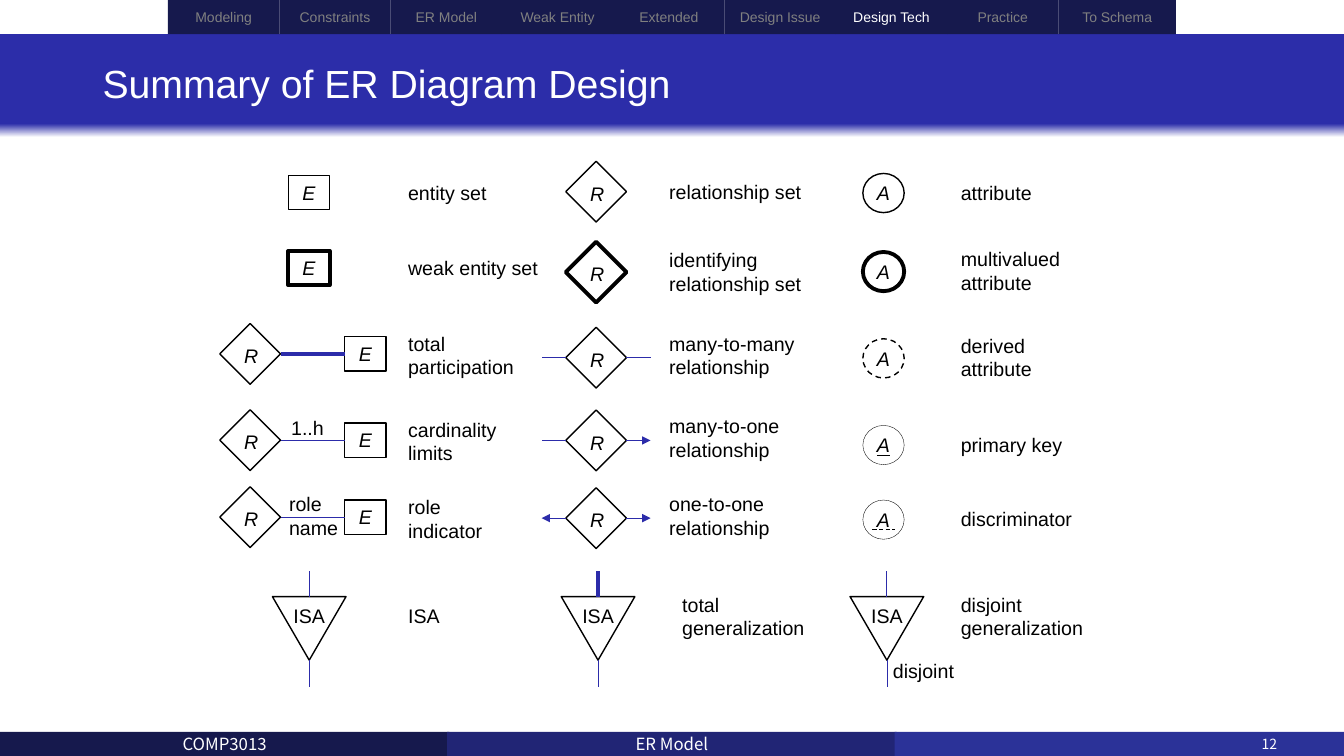
import dataclasses

import pptx
import pptx.dml.color
import pptx.enum.dml
import pptx.enum.shapes
import pptx.enum.text
import pptx.oxml
import pptx.oxml.ns
import pptx.util

Pt = pptx.util.Pt
SHAPE = pptx.enum.shapes.MSO_SHAPE
ALIGN = pptx.enum.text.PP_ALIGN
UNDERLINE = pptx.enum.text.MSO_UNDERLINE
LEFT, RIGHT = 1, 3


@dataclasses.dataclass(frozen=True)
class Theme:
    font: str = "Arial"
    footer_font: str = "Noto Sans CJK SC"
    number_font: str = "Noto Sans CJK JP"
    white: str = "FFFFFF"
    black: str = "000000"
    muted: str = "808080"
    navy: str = "16194D"
    indigo: str = "212575"
    royal: str = "2B3298"
    banner: str = "2C2DA9"
    link: str = "2C2CAA"
    title_size: float = 28
    body_size: float = 14
    footer_size: float = 12
    small_size: float = 10
    hairline: float = 0.25
    thin: float = 0.5
    normal: float = 1
    thick: float = 2.75


def rgb(value):
    return pptx.dml.color.RGBColor.from_string(value)


class ErPage:
    def __init__(self, page, theme):
        self.page = page
        self.theme = theme

    def put_text(self, shape, text, size=None, color=None, font=None, align=ALIGN.CENTER,
                 inset=0, italic=False, underline=None, spacing=None):
        """Fill a shape with text, one paragraph a line, centred vertically."""
        frame = shape.text_frame
        frame.word_wrap = True
        frame.vertical_anchor = pptx.enum.text.MSO_ANCHOR.MIDDLE
        frame.margin_left = frame.margin_right = Pt(inset)
        frame.margin_top = frame.margin_bottom = 0
        for index, line in enumerate(text.split("\n")):
            para = frame.add_paragraph() if index else frame.paragraphs[0]
            para.alignment = align
            if spacing:
                para.line_spacing = spacing
            span = para.add_run()
            span.text = line
            span.font.name = font or self.theme.font
            span.font.size = Pt(size or self.theme.body_size)
            span.font.color.rgb = rgb(color or self.theme.black)
            span.font.italic = italic
            span.font.underline = underline

    def text(self, left, top, width, height, text, **style):
        box = self.page.shapes.add_textbox(Pt(left), Pt(top), Pt(width), Pt(height))
        self.put_text(box, text, **style)

    def label(self, left, middle, text, width=118):
        height = 17 * (text.count("\n") + 1) + 7
        self.text(left, middle - height / 2, width, height, text,
                  align=ALIGN.LEFT, inset=7.2)

    def band(self, left, top, width, height, color):
        box = self.page.shapes.add_shape(
            SHAPE.RECTANGLE, Pt(left), Pt(top), Pt(width), Pt(height))
        box.shadow.inherit = False
        box.line.fill.background()
        box.fill.solid()
        box.fill.fore_color.rgb = rgb(color)
        return box

    def banner(self, top, width, height):
        """Title band that fades to white at its lower edge."""
        box = self.band(0, top, width, height, self.theme.banner)
        box.fill.gradient()
        box.fill.gradient_angle = 90
        stops = ((0, self.theme.white), (0.13, self.theme.banner))
        for stop, (position, color) in zip(box.fill.gradient_stops, stops):
            stop.position = position
            stop.color.rgb = rgb(color)

    def outline(self, kind, center, middle, width, height, weight):
        shape = self.page.shapes.add_shape(
            kind, Pt(center - width / 2), Pt(middle - height / 2), Pt(width), Pt(height))
        shape.shadow.inherit = False
        shape.fill.background()
        shape.line.color.rgb = rgb(self.theme.black)
        shape.line.width = Pt(weight or self.theme.normal)
        return shape

    def entity(self, center, middle, weight=None):
        box = self.outline(SHAPE.RECTANGLE, center, middle, 29.5, 24.5, weight)
        self.put_text(box, "E", italic=True)
        return box

    def relationship(self, center, middle, weight=None):
        diamond = self.outline(SHAPE.DIAMOND, center, middle, 43.4, 43.4, weight)
        self.text(center - 11.5, middle - 10.8, 24.4, 24.4, "R", italic=True)
        return diamond

    def attribute(self, center, middle, text="A", weight=None, underline=None, dashed=False):
        oval = self.outline(SHAPE.OVAL, center, middle, 29.5, 28, weight)
        if dashed:
            oval.line.dash_style = pptx.enum.dml.MSO_LINE.DASH
        self.put_text(oval, text, italic=True, underline=underline)

    def link(self, start, end, weight=None, arrow=False, begin=None, finish=None):
        """Draw a line; begin and finish are (shape, side) pairs to join."""
        line = self.page.shapes.add_connector(
            pptx.enum.shapes.MSO_CONNECTOR.STRAIGHT, *(Pt(value) for value in start + end))
        if begin:
            line.begin_connect(*begin)
        if finish:
            line.end_connect(*finish)
        line.line.color.rgb = rgb(self.theme.link)
        line.line.width = Pt(weight or self.theme.thin)
        if arrow:
            head = pptx.oxml.parse_xml(
                f'<a:tailEnd {pptx.oxml.ns.nsdecls("a")} type="triangle"/>')
            line.line._get_or_add_ln().append(head)
        line._element.spPr.append(
            pptx.oxml.parse_xml(f'<a:effectLst {pptx.oxml.ns.nsdecls("a")}/>'))

    def generalization(self, center, weight=None):
        top, bottom = 426.2, 471.6
        triangle = self.outline(SHAPE.ISOSCELES_TRIANGLE, center, (top + bottom) / 2,
                                52.6, bottom - top, None)
        triangle._element.spPr.xfrm.set("flipV", "1")
        self.text(center - 18.7, 427.8, 37.4, 24.4, "ISA")
        self.link((center, top), (center, 408.2), weight)
        self.link((center, bottom), (center, 491))


def draw_frame(er, theme):
    footers = (("COMP3013", theme.navy), ("ER Model", theme.indigo), ("", theme.royal))
    for index, (text, color) in enumerate(footers):
        box = er.band(319.5 * index, 522.7, 321, 17.3, color)
        if text:
            er.put_text(box, text, theme.footer_size, theme.white, theme.footer_font)
    er.text(894.2, 522.7, 57.6, 17.3, "12", size=theme.small_size, color=theme.white,
            font=theme.number_font, align=ALIGN.LEFT, inset=7.2)
    er.banner(24, 960, 74)
    er.text(66.2, 28, 828, 66.2, "Summary of ER Diagram Design", size=theme.title_size,
            color=theme.white, align=ALIGN.LEFT, inset=7.2, spacing=0.9)
    tabs = ("Modeling", "Constraints", "ER Model", "Weak Entity", "Extended",
            "Design Issue", "Design Tech", "Practice", "To Schema")
    for index, tab in enumerate(tabs):
        box = er.band(120 + 79.5 * index, 0, 84 if tab == tabs[-1] else 79.5, 24.5, theme.navy)
        er.put_text(box, tab, theme.small_size,
                    theme.white if tab == "Design Tech" else theme.muted)


def draw_entities(er, theme):
    er.entity(220.7, 137.5)
    er.entity(220.7, 191.5, theme.thick)
    for middle, weight in ((252.8, theme.thick), (314.4, theme.thin), (369.4, theme.thin)):
        diamond = er.relationship(178.7, middle)
        box = er.entity(261, middle)
        er.link((246, middle), (200, middle), weight,
                begin=(box, LEFT), finish=(diamond, RIGHT))
    er.label(200.9, 305.3, "1..h", 42)
    er.label(199.4, 368.3, "role\nname", 52)


def draw_relationships(er, theme):
    center, reach = 425.8, 38.9
    er.relationship(center, 136.9)
    er.relationship(center, 194.4, theme.thick)
    for middle, left_arrow, right_arrow in (
            (255.5, False, False), (314.6, False, True), (370.1, True, True)):
        diamond = er.relationship(center, middle)
        for side, end, arrow in ((LEFT, center - reach, left_arrow),
                                 (RIGHT, center + reach, right_arrow)):
            er.link((center, middle), (end, middle), arrow=arrow, begin=(diamond, side))


def draw_attributes(er, theme):
    center = 631.1
    er.attribute(center, 137.9)
    er.attribute(center, 194, weight=theme.thick)
    er.attribute(center, 256, dashed=True)
    er.attribute(center, 317.9, weight=theme.hairline, underline=True)
    er.attribute(center, 371.2, " A ", theme.hairline, UNDERLINE.DASH_LINE)


def draw_labels(er):
    columns = (
        (284.4, ((137.5, "entity set"), (191.5, "weak entity set"),
                 (253.8, "total\nparticipation"), (315, "cardinality\nlimits"),
                 (370.4, "role\nindicator"), (440, "ISA"))),
        (470.9, ((137, "relationship set"), (194, "identifying\nrelationship set"),
                 (253.8, "many-to-many\nrelationship"), (312.8, "many-to-one\nrelationship"),
                 (368.3, "one-to-one\nrelationship"))),
        (480.2, ((440.3, "total\ngeneralization"),)),
        (679.2, ((137.5, "attribute"), (193.3, "multivalued\nattribute"),
                 (255.2, "derived\nattribute"), (317.5, "primary key"),
                 (370.8, "discriminator"), (440.3, "disjoint\ngeneralization"))),
        (630.7, ((478.8, "disjoint"),)))
    for left, labels in columns:
        for middle, text in labels:
            er.label(left, middle, text)


def main():
    deck = pptx.Presentation()
    deck.slide_width, deck.slide_height = Pt(960), Pt(540)
    theme = Theme()
    er = ErPage(deck.slides.add_slide(deck.slide_layouts[6]), theme)
    draw_frame(er, theme)
    draw_entities(er, theme)
    draw_relationships(er, theme)
    draw_attributes(er, theme)
    for index, weight in enumerate((theme.thin, theme.thick, 0.75)):
        er.generalization(220.9 + 206.3 * index, weight)
    draw_labels(er)
    deck.save("out.pptx")


if __name__ == "__main__":
    main()
